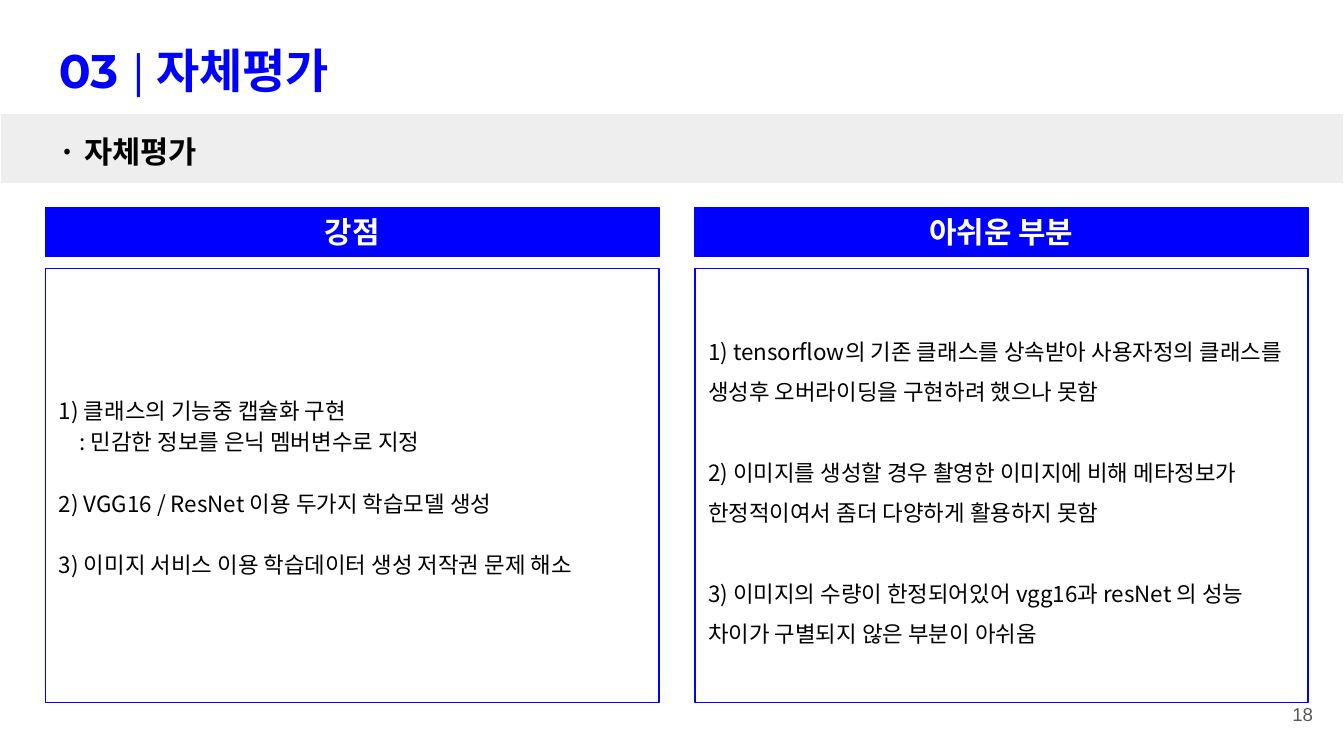
import pptx
import pptx.dml.color
import pptx.enum.shapes
import pptx.enum.text
import pptx.oxml.ns
import pptx.util

Pt = pptx.util.Pt
ALIGN = pptx.enum.text.PP_ALIGN
ANCHOR = pptx.enum.text.MSO_ANCHOR

# Content
KOREAN = "Noto Sans CJK KR"
BLUE, WHITE, BLACK = "0000FF", "FFFFFF", "000000"

TITLE_FORMAT = {"name": "Montserrat", "size": Pt(25.2), "bold": True, "color": BLUE}
TITLE = [
    ("03 ", TITLE_FORMAT),
    ("|", {**TITLE_FORMAT, "bold": False}),
    (" 자체평가", {**TITLE_FORMAT, "name": KOREAN}),
]
SUBTITLE_FORMAT = {"name": KOREAN, "size": Pt(16.4), "bold": True, "color": BLACK}
HEADER_FORMAT = {"name": KOREAN, "size": Pt(16), "bold": True, "color": WHITE}
BODY_FORMAT = {"name": KOREAN, "size": Pt(12), "bold": False, "color": BLACK}
NUMBER_FORMAT = {"name": "Arial", "size": Pt(10), "bold": False, "color": "595959"}

# Each item is a list of lines; lines after the first are indented
COLUMNS = [
    {"header": "강점", "pitch": 16.5, "items": [
        ["1) 클래스의 기능중 캡슐화 구현", ": 민감한 정보를 은닉 멤버변수로 지정"],
        ["2) VGG16 / ResNet 이용 두가지 학습모델 생성"],
        ["3) 이미지 서비스 이용 학습데이터 생성 저작권 문제 해소"],
    ]},
    {"header": "아쉬운 부분", "pitch": 21.6, "items": [
        ["1) tensorflow의 기존 클래스를 상속받아 사용자정의 클래스를 생성후 오버라이딩을 구현하려 했으나 못함"],
        ["2) 이미지를 생성할 경우 촬영한 이미지에 비해 메타정보가 한정적이여서 좀더 다양하게 활용하지 못함"],
        ["3) 이미지의 수량이 한정되어있어 vgg16과 resNet 의 성능 차이가 구별되지 않은 부분이 아쉬움"],
    ]},
]

# Layout in points
WIDTH, HEIGHT = 720, 405
MARGIN, COLUMN_WIDTH, COLUMN_STEP = 24.5, 328.5, 347.75
INSET, INDENT = 7.2, 11

presentation = pptx.Presentation()
presentation.slide_width, presentation.slide_height = Pt(WIDTH), Pt(HEIGHT)
slide = presentation.slides.add_slide(presentation.slide_layouts[6])


def color(value):
    return pptx.dml.color.RGBColor.from_string(value)


def set_frame(shape, anchor):
    frame = shape.text_frame
    settings = {"word_wrap": True, "vertical_anchor": anchor,
                "margin_left": Pt(INSET), "margin_right": Pt(INSET),
                "margin_top": Pt(INSET), "margin_bottom": Pt(INSET)}
    for name, value in settings.items():
        setattr(frame, name, value)
    return frame


def add_run(paragraph, text, font_format):
    run = paragraph.add_run()
    run.text = text
    for name, value in font_format.items():
        if name == "color":
            run.font.color.rgb = color(value)
        else:
            setattr(run.font, name, value)
    east_asian = run.font._element.makeelement(
        pptx.oxml.ns.qn("a:ea"), {"typeface": font_format["name"]})
    run.font._element.find(pptx.oxml.ns.qn("a:latin")).addnext(east_asian)


def add_text(box, runs, anchor=ANCHOR.TOP, alignment=ALIGN.LEFT):
    shape = slide.shapes.add_textbox(*map(Pt, box))
    paragraph = set_frame(shape, anchor).paragraphs[0]
    paragraph.alignment = alignment
    for text, font_format in runs:
        add_run(paragraph, text, font_format)


def add_rectangle(box, fill, line):
    shape = slide.shapes.add_shape(
        pptx.enum.shapes.MSO_SHAPE.RECTANGLE, *map(Pt, box))
    shape.shadow.inherit = False
    shape.fill.solid()
    shape.fill.fore_color.rgb = color(fill)
    shape.line.color.rgb = color(line)
    shape.line.width = Pt(0.75)
    return shape


# Title, subtitle band and page number
add_text((MARGIN, 15, 671, 45), TITLE)
add_rectangle((0, 60.5, WIDTH, 38), "EEEEEE", WHITE)
add_text((MARGIN, 64, 671, 31), [("· 자체평가", SUBTITLE_FORMAT)])
add_text((667.5, 367, 43, 31), [("18", NUMBER_FORMAT)], ANCHOR.MIDDLE, ALIGN.RIGHT)

# Two columns: a header bar above an outlined box
for index, column in enumerate(COLUMNS):
    left = MARGIN + index * COLUMN_STEP
    header = add_rectangle((left, 111, COLUMN_WIDTH, 26.5), BLUE, BLUE)
    paragraph = set_frame(header, ANCHOR.MIDDLE).paragraphs[0]
    paragraph.alignment = ALIGN.CENTER
    add_run(paragraph, column["header"], HEADER_FORMAT)

    body = add_rectangle((left, 144, COLUMN_WIDTH, 232.5), WHITE, BLUE)
    frame = set_frame(body, ANCHOR.MIDDLE)
    frame.margin_right = Pt(5)
    for item_index, item in enumerate(column["items"]):
        for line_index, text in enumerate(item):
            first = item_index == line_index == 0
            paragraph = frame.paragraphs[0] if first else frame.add_paragraph()
            paragraph.alignment = ALIGN.LEFT
            paragraph.line_spacing = Pt(column["pitch"])
            if line_index:
                paragraph._p.get_or_add_pPr().set("marL", str(Pt(INDENT)))
            elif item_index:
                paragraph.space_before = Pt(column["pitch"])
            add_run(paragraph, text, BODY_FORMAT)

presentation.save("out.pptx")
